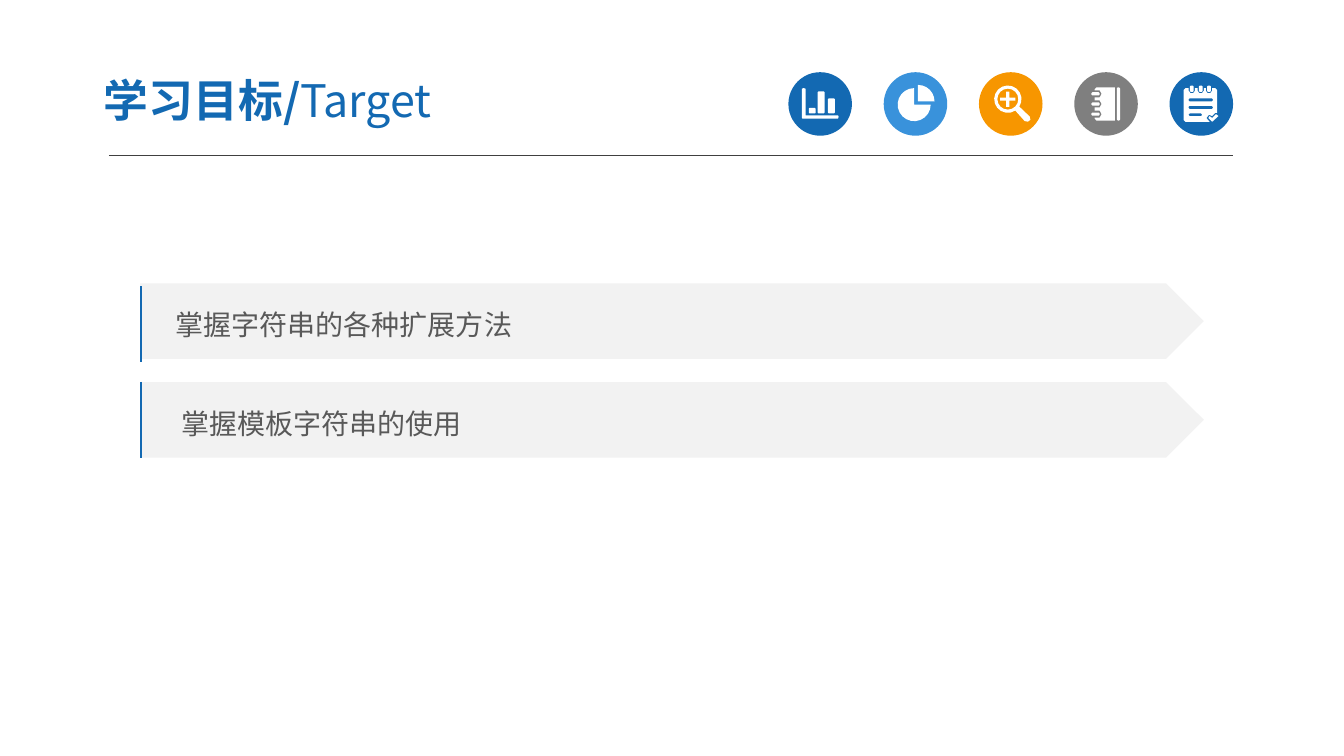
import math

import lxml.etree
import pptx
import pptx.dml.color
import pptx.enum.shapes
import pptx.enum.text
import pptx.oxml.ns
import pptx.util

WIDTH = pptx.util.Inches(13.33)
HEIGHT = pptx.util.Inches(7.5)
FONT = "Noto Sans CJK SC"
BLUE, SKY, ORANGE, GRAY = "1369B2", "3992DB", "F79600", "7F7F7F"
WHITE, PALE, RULE, INK = "FFFFFF", "F2F2F2", "404040", "595959"
KIND = pptx.enum.shapes.MSO_SHAPE
CIRCLE_LEFT, CIRCLE_TOP, CIRCLE_STEP, CIRCLE_SIZE = 58.66, 9.55, 7.09, 4.73
GOALS = [
    ("掌握字符串的各种扩展方法", 37.47, 37.87, 0.35),
    ("掌握模板字符串的使用", 50.53, 50.53, 0.41),
]


def across(share):
    return round(WIDTH * share / 100)


def down(share):
    return round(HEIGHT * share / 100)


def color(text):
    return pptx.dml.color.RGBColor.from_string(text)


def box(left, top, width, height, cut=1.5):
    right, bottom = left + width, top + height
    return [
        (left + cut, top), (right - cut, top), (right, top + cut),
        (right, bottom - cut), (right - cut, bottom), (left + cut, bottom),
        (left, bottom - cut), (left, top + cut),
    ]


def arc(x, y, radius, start, end, steps=16):
    angles = [math.radians(start + (end - start) * step / steps) for step in range(steps + 1)]
    return [(x + radius * math.cos(angle), y + radius * math.sin(angle)) for angle in angles]


def chart_icon():
    axes = [(21, 26), (24, 25), (27, 26), (27, 68), (78, 68), (79, 70), (78, 73), (22, 73), (21, 72)]
    return [axes, box(32, 56, 11, 9), box(46, 30, 11, 35), box(62, 41, 11, 24)]


def pie_icon():
    return [
        [(48, 51)] + arc(48, 51, 26, 0, 270),
        [(54, 46)] + arc(54, 46, 26, -90, 0, 6),
    ]


def search_icon():
    x, y = 45.5, 42.5
    lens = arc(x, y, 21.5, 57, 393) + [(80, 70), (81, 75), (77, 78), (72, 77)]
    plus = [
        (x + across_sign * long, y + down_sign * tall)
        for across_sign, down_sign, reaches in (
            (1, -1, ((2.5, 12), (2.5, 2.5), (12, 2.5))),
            (1, 1, ((12, 2.5), (2.5, 2.5), (2.5, 12))),
            (-1, 1, ((2.5, 12), (2.5, 2.5), (12, 2.5))),
            (-1, -1, ((12, 2.5), (2.5, 2.5), (2.5, 12))),
        )
        for long, tall in reaches
    ]
    return [lens, arc(x, y, 16.5, 0, 360), plus]


def notebook_icon():
    rings = (66, 50, 34)
    cover = [(35, 24), (64, 24), (64, 76), (35, 76), (32, 73)]
    for y in rings:
        cover += [(32, y + 5.5), (40, y + 5.5), (43, y), (40, y - 5.5), (32, y - 5.5)]
    cover.append((32, 27))
    return [cover, box(67, 24, 5, 52)] + [box(27, y - 2.5, 13, 5) for y in rings]


def notepad_icon():
    rings = (35, 49, 62)
    page = [(25, 25)]
    for x in rings:
        page += [(x - 5, 25), (x - 5, 29), (x - 2, 33), (x + 2, 33), (x + 5, 29), (x + 5, 25)]
    page += [
        (72, 25), (75, 28), (75, 64), (72, 64), (67, 69), (62, 67),
        (58, 72), (63, 78), (25, 78), (22, 75), (22, 28),
    ]
    check = [(61, 72), (63, 69), (67, 72), (73, 66), (77, 69), (67, 78)]
    lines = [box(30, 41, 38, 5), box(30, 53, 38, 5), box(30, 65, 21, 4)]
    return [page, check] + lines + [box(x - 3, 21, 6, 10) for x in rings]


def paint(shape, fill):
    shape.shadow.inherit = False
    shape.fill.solid()
    shape.fill.fore_color.rgb = color(fill)
    shape.line.fill.background()


def format_paragraph(paragraph, size, ink):
    paragraph.alignment = pptx.enum.text.PP_ALIGN.LEFT
    font = paragraph.font
    font.size = pptx.util.Pt(size)
    font.color.rgb = color(ink)
    font.name = FONT
    properties = paragraph._p.pPr.find(pptx.oxml.ns.qn("a:defRPr"))
    east_asian = lxml.etree.SubElement(properties, pptx.oxml.ns.qn("a:ea"))
    east_asian.set("typeface", FONT)


def add_rule(slide, start, end, ink, weight):
    connector = slide.shapes.add_connector(
        pptx.enum.shapes.MSO_CONNECTOR.STRAIGHT,
        across(start[0]), down(start[1]), across(end[0]), down(end[1]))
    connector.line.color.rgb = color(ink)
    connector.line.width = pptx.util.Pt(weight)
    lxml.etree.SubElement(connector._element.spPr, pptx.oxml.ns.qn("a:effectLst"))


def add_title(slide):
    title = slide.shapes.title
    title.left, title.top = across(6.73), down(8.4)
    title.width, title.height = across(39.16), down(9.6)
    frame = title.text_frame
    frame.auto_size = pptx.enum.text.MSO_AUTO_SIZE.NONE
    frame.vertical_anchor = pptx.enum.text.MSO_ANCHOR.MIDDLE
    frame.margin_left = frame.margin_right = pptx.util.Inches(0.13)
    frame.margin_top = frame.margin_bottom = pptx.util.Inches(0.07)
    paragraph = frame.paragraphs[0]
    for text, bold in (("学习目标/", True), ("Target", False)):
        run = paragraph.add_run()
        run.text = text
        run.font.bold = bold
    format_paragraph(paragraph, 32, BLUE)


def add_icon(slide, index, fill, contours):
    left, top = across(CIRCLE_LEFT + index * CIRCLE_STEP), down(CIRCLE_TOP)
    size = across(CIRCLE_SIZE)
    circle = slide.shapes.add_shape(KIND.OVAL, left, top, size, size)
    paint(circle, fill)
    placed = [
        [(round(left + x * size / 100), round(top + y * size / 100)) for x, y in contour]
        for contour in contours
    ]
    builder = slide.shapes.build_freeform(*placed[0][0])
    for position, contour in enumerate(placed):
        if position:
            builder.move_to(*contour[0])
        builder.add_line_segments(contour[1:], close=True)
    paint(builder.convert_to_shape(), WHITE)


def add_goal(slide, text, top, bar_top, indent):
    arrow = slide.shapes.add_shape(
        KIND.PENTAGON, across(10.43), down(top), across(79.14), down(10))
    paint(arrow, PALE)
    frame = arrow.text_frame
    frame.word_wrap = True
    frame.vertical_anchor = pptx.enum.text.MSO_ANCHOR.MIDDLE
    frame.margin_left = pptx.util.Inches(indent)
    paragraph = frame.paragraphs[0]
    paragraph.text = text
    paragraph.line_spacing = 1.2
    format_paragraph(paragraph, 20, INK)
    add_rule(slide, (10.5, bar_top), (10.5, bar_top + 10), BLUE, 1.5)


def main():
    presentation = pptx.Presentation()
    presentation.slide_width, presentation.slide_height = WIDTH, HEIGHT
    slide = presentation.slides.add_slide(presentation.slide_layouts[5])
    add_title(slide)
    add_rule(slide, (8.1, 20.6), (91.75, 20.6), RULE, 0.75)
    icons = [
        (BLUE, chart_icon()),
        (SKY, pie_icon()),
        (ORANGE, search_icon()),
        (GRAY, notebook_icon()),
        (BLUE, notepad_icon()),
    ]
    for index, (fill, contours) in enumerate(icons):
        add_icon(slide, index, fill, contours)
    for goal in GOALS:
        add_goal(slide, *goal)
    presentation.save("out.pptx")


if __name__ == "__main__":
    main()
